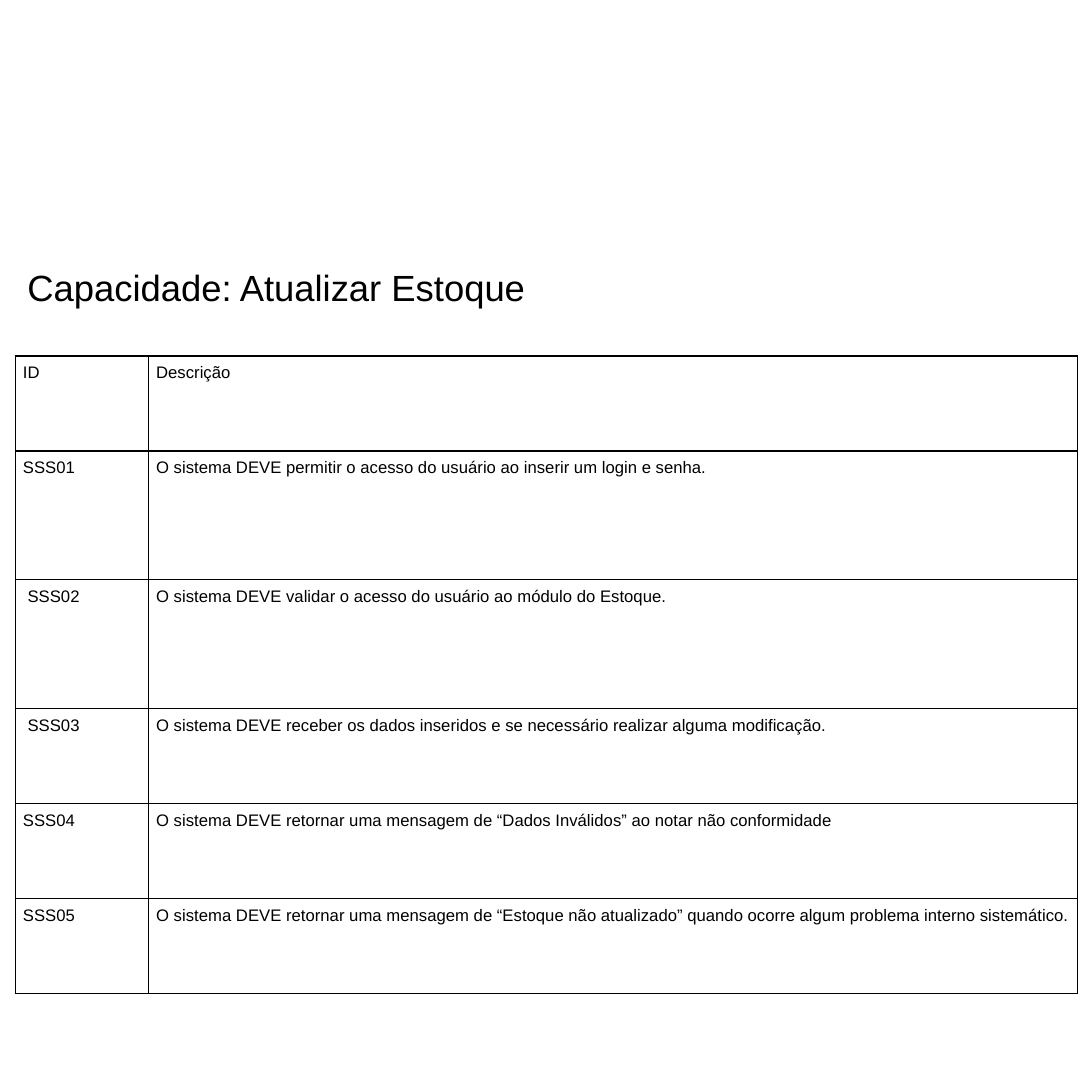
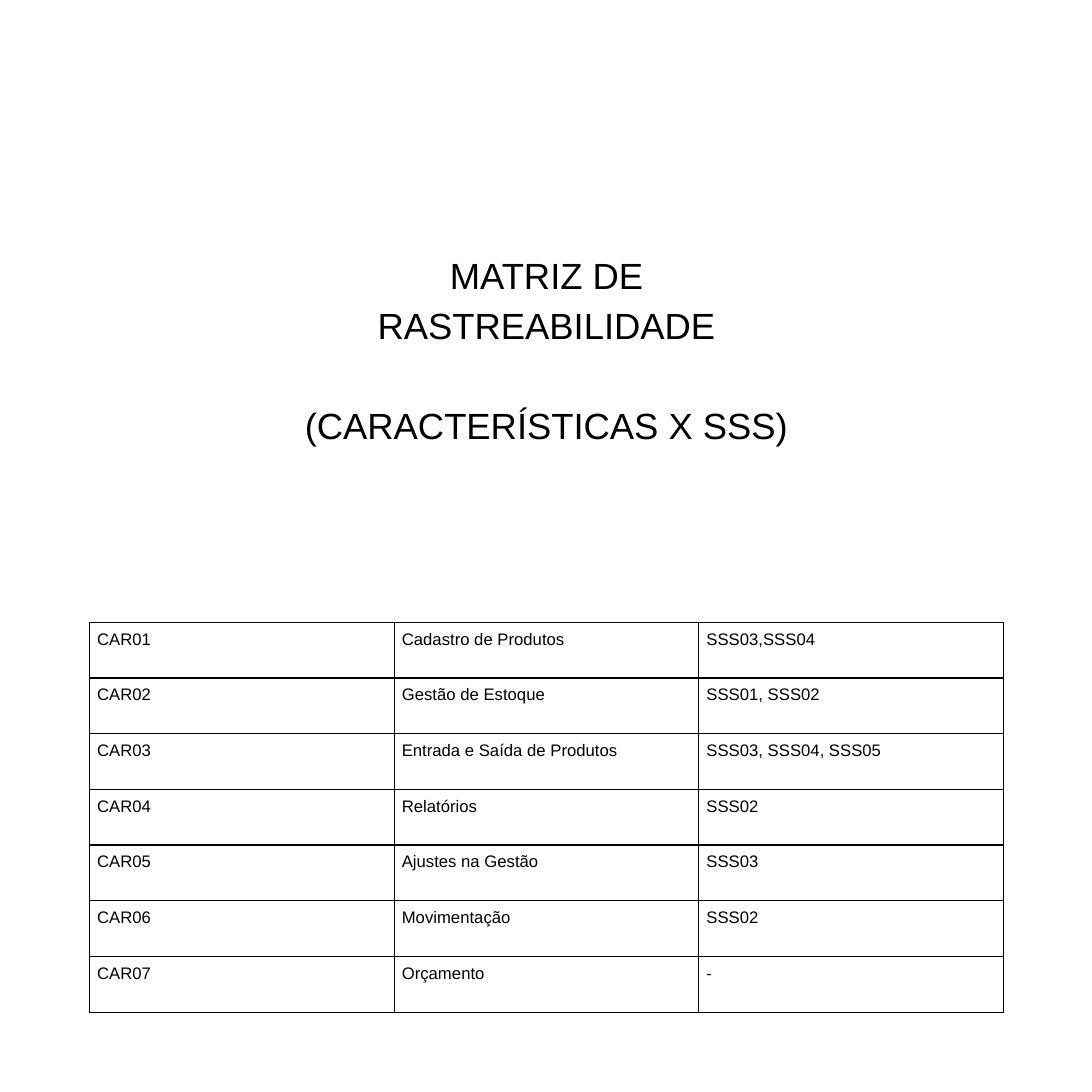
from lxml import etree
from pptx import Presentation
from pptx.dml.color import RGBColor
from pptx.enum import text
from pptx.oxml import ns
from pptx.util import Inches, Pt

COLOURS = {"ink": "000000", "paper": "FFFFFF"}
FONT = "Arial"
TITLE_SIZE, CELL_SIZE = 24, 11
TITLE_INSET, CELL_INSET = 0.1, 0.07
BORDER_WIDTH = 1

CAPABILITIES = [
    ("ID", "Descrição"),
    ("SSS01", "O sistema DEVE permitir o acesso do usuário ao inserir um login e senha."),
    (" SSS02", "O sistema DEVE validar o acesso do usuário ao módulo do Estoque."),
    (" SSS03", "O sistema DEVE receber os dados inseridos e se necessário realizar alguma modificação."),
    ("SSS04", "O sistema DEVE retornar uma mensagem de “Dados Inválidos” ao notar não conformidade"),
    ("SSS05", "O sistema DEVE retornar uma mensagem de “Estoque não atualizado” quando ocorre algum problema interno sistemático."),
]
FEATURES = [
    ("CAR01", "Cadastro de Produtos", "SSS03,SSS04"),
    ("CAR02", "Gestão de Estoque", "SSS01, SSS02"),
    ("CAR03", "Entrada e Saída de Produtos", "SSS03, SSS04, SSS05"),
    ("CAR04", "Relatórios", "SSS02"),
    ("CAR05", "Ajustes na Gestão", "SSS03"),
    ("CAR06", "Movimentação", "SSS02"),
    ("CAR07", "Orçamento", "-"),
]


class Builder:
    """Holds the deck, its shared style and the current page."""

    def __init__(self, width, height):
        self.deck = Presentation()
        self.deck.slide_width, self.deck.slide_height = Inches(width), Inches(height)
        self.page = None

    def add_page(self):
        self.page = self.deck.slides.add_slide(self.deck.slide_layouts[5])
        fill = self.page.background.fill
        fill.solid()
        fill.fore_color.rgb = RGBColor.from_string(COLOURS["paper"])

    def add_span(self, para, words, size):
        span = para.add_run()
        span.text = words
        span.font.name = FONT
        span.font.size = Pt(size)
        span.font.color.rgb = RGBColor.from_string(COLOURS["ink"])

    def title(self, left, top, width, height, lines, align, anchor,
              before=0, after=0, bottom=TITLE_INSET):
        box = self.page.shapes.title
        box.left, box.top = Inches(left), Inches(top)
        box.width, box.height = Inches(width), Inches(height)
        frame = box.text_frame
        frame.word_wrap = True
        frame.auto_size = text.MSO_AUTO_SIZE.NONE
        frame.vertical_anchor = anchor
        frame.margin_left = frame.margin_right = frame.margin_top = Inches(TITLE_INSET)
        frame.margin_bottom = Inches(bottom)
        for index, line in enumerate(lines):
            para = frame.add_paragraph() if index else frame.paragraphs[0]
            para.alignment = align
            para.line_spacing = 1.15
            para.space_before = Pt(before if index else 0)
            para.space_after = Pt(after)
            self.add_span(para, line, TITLE_SIZE)

    def table(self, left, top, columns, heights, rows):
        table = self.page.shapes.add_table(
            len(rows), len(columns), Inches(left), Inches(top),
            Inches(sum(columns)), Inches(sum(heights))).table
        table.first_row = table.horz_banding = False
        for column, width in zip(table.columns, columns):
            column.width = Inches(width)
        for row, height, values in zip(table.rows, heights, rows):
            row.height = Inches(height)
            for cell, value in zip(row.cells, values):
                cell.margin_left = cell.margin_right = Inches(CELL_INSET)
                cell.margin_top = cell.margin_bottom = Inches(CELL_INSET)
                cell.fill.background()
                self.border(cell)
                self.add_span(cell.text_frame.paragraphs[0], value, CELL_SIZE)

    def border(self, cell):
        properties = cell._tc.get_or_add_tcPr()
        for index, side in enumerate(("lnL", "lnR", "lnT", "lnB")):
            line = etree.Element(ns.qn("a:" + side), w=str(Pt(BORDER_WIDTH)))
            fill = etree.SubElement(line, ns.qn("a:solidFill"))
            etree.SubElement(fill, ns.qn("a:srgbClr"), val=COLOURS["ink"])
            properties.insert(index, line)


def main():
    builder = Builder(10, 10)

    builder.add_page()
    builder.title(0.15, 2.27, 7.2, 3.28, ["Capacidade: Atualizar Estoque"],
                  text.PP_ALIGN.LEFT, text.MSO_ANCHOR.TOP, after=8)
    short, tall = 0.87, 1.18
    builder.table(0.14, 3.26, [1.22, 8.51],
                  [short, tall, tall, short, short, short], CAPABILITIES)

    builder.add_page()
    builder.title(2.58, 0.85, 4.85, 4.85,
                  ["MATRIZ DE RASTREABILIDADE", "(CARACTERÍSTICAS X SSS)"],
                  text.PP_ALIGN.CENTER, text.MSO_ANCHOR.MIDDLE, before=33, bottom=0.3)
    builder.table(0.82, 5.7, [2.79] * 3, [0.51] * len(FEATURES), FEATURES)

    builder.deck.save("out.pptx")


if __name__ == "__main__":
    main()
